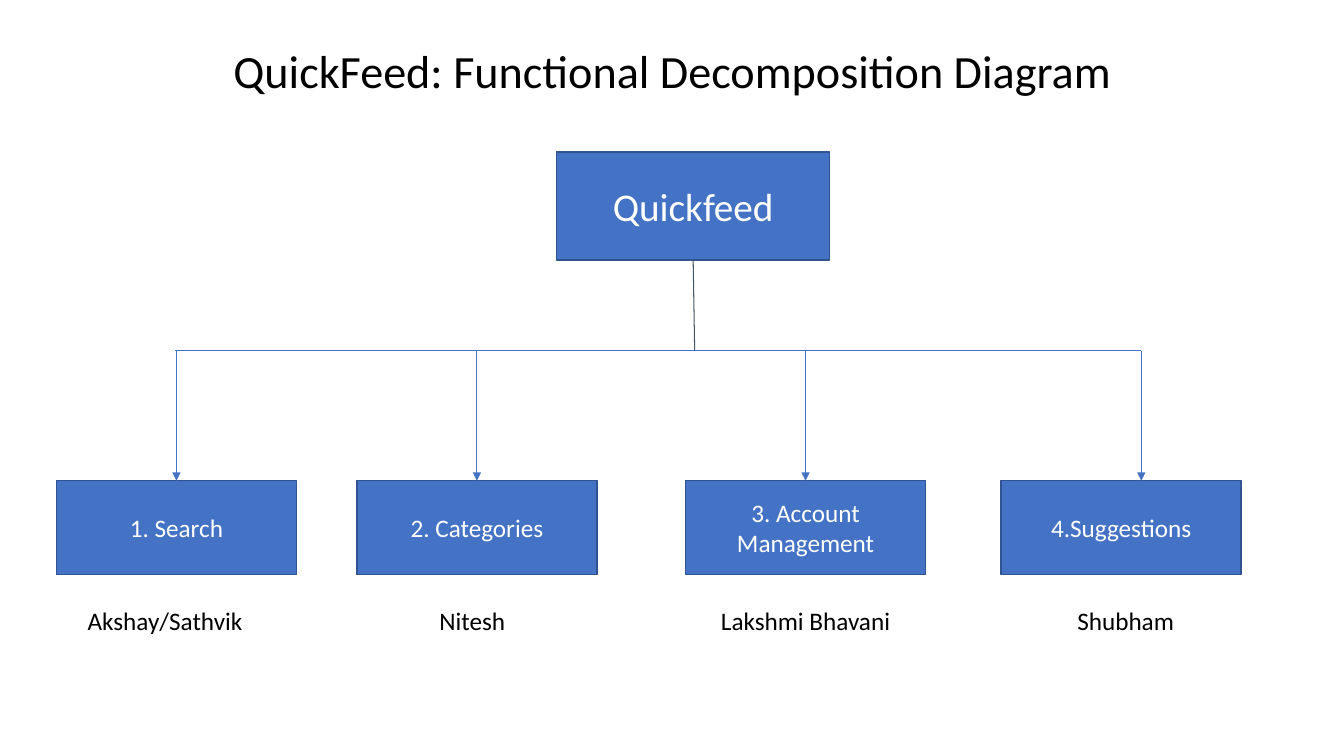
from lxml import etree
from pptx import Presentation
from pptx.dml.color import RGBColor
from pptx.enum.shapes import MSO_CONNECTOR, MSO_SHAPE
from pptx.enum.text import MSO_ANCHOR, MSO_AUTO_SIZE, PP_ALIGN
from pptx.oxml.ns import qn
from pptx.util import Inches, Pt

STRAIGHT = MSO_CONNECTOR.STRAIGHT
RECTANGLE = MSO_SHAPE.RECTANGLE
MIDDLE = MSO_ANCHOR.MIDDLE
NO_FIT = MSO_AUTO_SIZE.NONE
LEFT, CENTER = PP_ALIGN.LEFT, PP_ALIGN.CENTER
TOP_SIDE, BOTTOM_SIDE = 0, 2

BOX_WIDTH, BOX_HEIGHT = 2.38, 0.93
BOX_TOP, RAIL_TOP, OWNER_TOP = 4.77, 3.48, 5.96

FUNCTIONS = [
    ("1. Search", 0.56, 1.75, "Akshay/Sathvik", 0.77, 1.83, LEFT),
    ("2. Categories", 3.54, 4.73, "Nitesh", 4.26, 0.94, LEFT),
    ("3. Account Management", 6.8, 7.99, "Lakshmi Bhavani", 6.8, 2.38, CENTER),
    ("4.Suggestions", 9.93, 11.32, "Shubham", 10.2, 1.93, CENTER),
]


def color(value):
    """Turn a hex string into a colour."""
    return RGBColor.from_string(value)


class DiagramPage:
    """Hold the diagram's style and the slide being drawn."""

    font = "Calibri"
    fill, outline = "4472C4", "31538F"
    trunk, dark, light = "44546A", "000000", "FFFFFF"

    def __init__(self, page):
        """Keep the slide to draw on."""
        self.page = page

    def set_text(self, frame, text, size, ink, align):
        """Put one styled paragraph into a text frame."""
        frame.word_wrap = True
        frame.text = text
        para = frame.paragraphs[0]
        para.alignment = align
        para.font.name = self.font
        para.font.size = Pt(size)
        para.font.color.rgb = color(ink)
        return para

    def title(self, text):
        """Fill and place the title placeholder."""
        title = self.page.shapes.title
        title.left, title.top = Inches(0.92), Inches(0)
        title.width, title.height = Inches(11.5), Inches(1.45)
        frame = title.text_frame
        frame.auto_size = NO_FIT
        frame.vertical_anchor = MIDDLE
        para = self.set_text(frame, text, 33, self.dark, CENTER)
        para.line_spacing = 0.9

    def box(self, text, left, top, width, height, size):
        """Add a filled rectangle with centred text."""
        box = self.page.shapes.add_shape(
            RECTANGLE, Inches(left), Inches(top), Inches(width), Inches(height))
        box.shadow.inherit = False
        box.fill.solid()
        box.fill.fore_color.rgb = color(self.fill)
        box.line.color.rgb = color(self.outline)
        box.line.width = Pt(1)
        box.text_frame.vertical_anchor = MIDDLE
        self.set_text(box.text_frame, text, size, self.light, CENTER)
        return box

    def label(self, text, left, top, width, align):
        """Add a plain text label."""
        label = self.page.shapes.add_textbox(
            Inches(left), Inches(top), Inches(width), Inches(0.4))
        self.set_text(label.text_frame, text, 18, self.dark, align)

    def line(self, start, end, ink, arrow=False):
        """Add a straight line, with an arrowhead at its end if asked."""
        line = self.page.shapes.add_connector(
            STRAIGHT, *(Inches(value) for value in (*start, *end)))
        line.line.color.rgb = color(ink)
        line.line.width = Pt(0.75)
        properties = line._element.spPr
        if arrow:
            outline = properties.find(qn("a:ln"))
            etree.SubElement(outline, qn("a:tailEnd"), type="triangle")
        etree.SubElement(properties, qn("a:effectLst"))
        return line


def main():
    """Build and save the decomposition diagram."""
    deck = Presentation()
    deck.slide_width, deck.slide_height = Inches(13.33), Inches(7.5)
    diagram = DiagramPage(deck.slides.add_slide(deck.slide_layouts[5]))
    diagram.title("QuickFeed: Functional Decomposition Diagram")

    root = diagram.box("Quickfeed", 5.52, 1.51, 2.71, 1.07, 28)
    trunk = diagram.line((6.87, 2.58), (6.89, RAIL_TOP), diagram.trunk)
    trunk.begin_connect(root, BOTTOM_SIDE)
    diagram.line((1.74, RAIL_TOP), (11.32, RAIL_TOP), diagram.fill)

    for name, left, arrow_x, owner, owner_left, owner_width, align in FUNCTIONS:
        box = diagram.box(name, left, BOX_TOP, BOX_WIDTH, BOX_HEIGHT, 18)
        arrow = diagram.line(
            (arrow_x, RAIL_TOP), (arrow_x, BOX_TOP), diagram.fill, arrow=True)
        if abs(left + BOX_WIDTH / 2 - arrow_x) < 0.01:
            arrow.end_connect(box, TOP_SIDE)
        diagram.label(owner, owner_left, OWNER_TOP, owner_width, align)

    deck.save("out.pptx")


if __name__ == "__main__":
    main()
